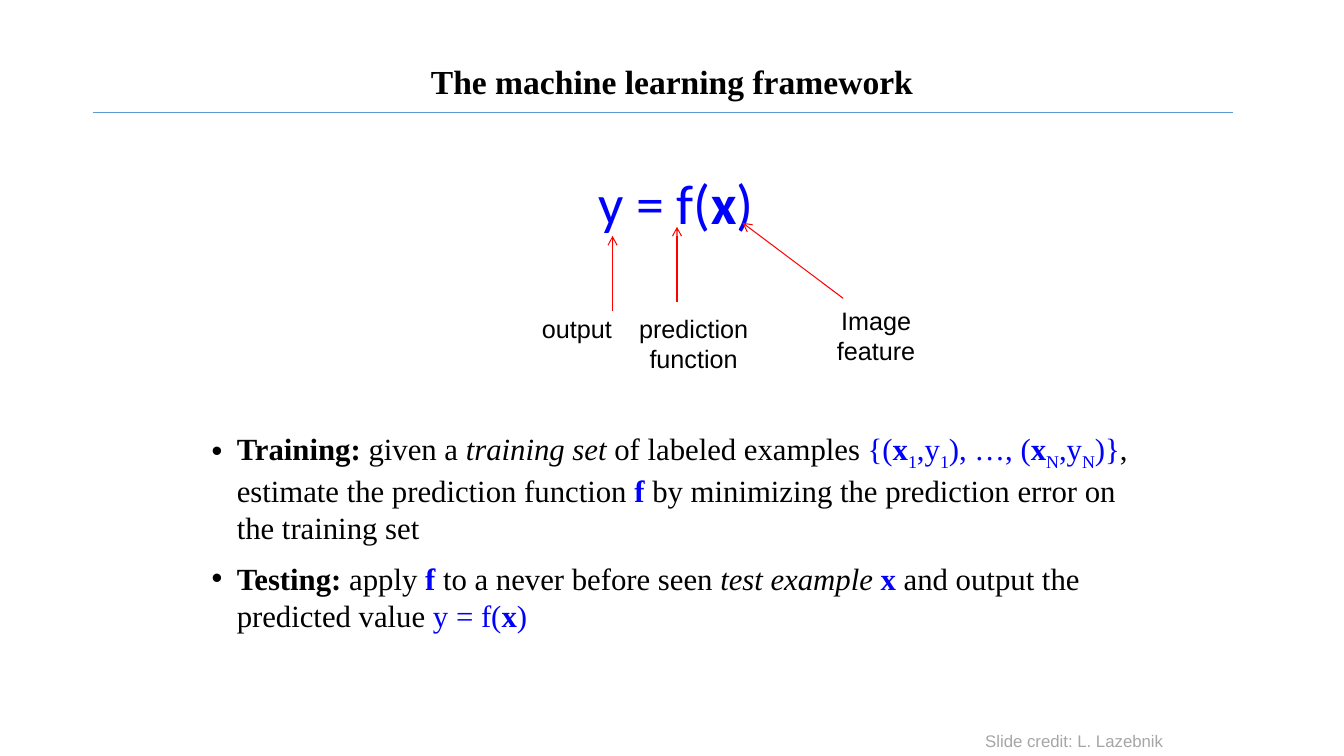
from lxml.etree import SubElement
from pptx import Presentation
from pptx.dml.color import RGBColor
from pptx.enum.shapes import MSO_CONNECTOR
from pptx.enum.text import MSO_ANCHOR, MSO_AUTO_SIZE, PP_ALIGN
from pptx.oxml.ns import qn
from pptx.util import Emu, Pt

PX = 9144  # 100 px to the inch
BLACK, BLUE, RED, GREY, RULE = "000000", "0000FF", "FF0000", "A6A6A6", "5B9BD5"
SERIF, SANS, FORMULA_FONT = "Times New Roman", "Arial", "Calibri"

# Span styles: any mix of b(old), i(talic), m(ath colour), s(ubscript)
FORMULA = [("y = f(", "m"), ("x", "mb"), (")", "m")]
TRAINING = [
    ("Training: ", "b"), ("given a ", ""), ("training set ", "i"),
    ("of labeled examples ", ""), ("{(", "m"), ("x", "mb"), ("1", "ms"),
    (",y", "m"), ("1", "ms"), ("), …, (", "m"), ("x", "mb"), ("N", "ms"),
    (",y", "m"), ("N", "ms"), (")}", "m"),
    (", estimate the prediction function ", ""), ("f ", "mb"),
    ("by minimizing the prediction error on the training set", ""),
]
TESTING = [
    ("Testing:", "b"), (" apply ", ""), ("f ", "mb"),
    ("to a never before seen ", ""), ("test example ", "i"), ("x", "mb"),
    (" and output the predicted value ", ""), *FORMULA,
]


def px(*lengths):
    return [Emu(length * PX) for length in lengths]


def color(hex_value):
    return RGBColor.from_string(hex_value)


def set_values(target, values):
    for name, value in values.items():
        setattr(target, name, value)


def place(shape, *bounds):
    set_values(shape, dict(zip(("left", "top", "width", "height"), px(*bounds))))


def add_span(para, text, font, size, ink=BLACK, style=""):
    span = para.add_run()
    span.text = text
    set_values(span.font, {"name": font, "size": Pt(size),
                           "bold": "b" in style, "italic": "i" in style})
    span.font.color.rgb = color(BLUE if "m" in style else ink)
    if "s" in style:
        span.font._element.set("baseline", "-25000")


def set_bullet(para, char=None):
    properties = para._p.get_or_add_pPr()
    indent = 25 * PX
    properties.set("marL", str(indent))
    properties.set("indent", str(-indent))
    if char:
        bullet_color = SubElement(properties, qn("a:buClr"))
        SubElement(bullet_color, qn("a:srgbClr"), val=BLACK)
        SubElement(properties, qn("a:buFont"), typeface=SANS)
        SubElement(properties, qn("a:buChar"), char=char)
    else:
        SubElement(properties, qn("a:buNone"))


def fill_title(title, text):
    place(title, 92, 40, 1150, 85)
    set_values(title.text_frame, {"vertical_anchor": MSO_ANCHOR.MIDDLE,
                                  "auto_size": MSO_AUTO_SIZE.NONE})
    para = title.text_frame.paragraphs[0]
    set_values(para, {"alignment": PP_ALIGN.CENTER, "line_spacing": 0.9})
    add_span(para, text, SERIF, 24, style="b")


def fill_body(body):
    place(body, 200, 175, 942, 495)
    frame = body.text_frame
    set_values(frame, {"vertical_anchor": MSO_ANCHOR.TOP,
                       "auto_size": MSO_AUTO_SIZE.NONE})
    # spans, font, size, bullet, alignment, line spacing, space before
    rows = [
        (FORMULA, FORMULA_FONT, 40, None, PP_ALIGN.CENTER, 0.8, 0),
        (TRAINING, SERIF, 22, "•", PP_ALIGN.LEFT, 1.0, 139),
        (TESTING, SERIF, 22, "•", PP_ALIGN.LEFT, 1.0, 10),
    ]
    for index, (spans, font, size, bullet, alignment, spacing, before) in enumerate(rows):
        para = frame.add_paragraph() if index else frame.paragraphs[0]
        set_bullet(para, bullet)
        set_values(para, {"alignment": alignment, "line_spacing": spacing,
                          "space_before": Pt(before)})
        for text, style in spans:
            add_span(para, text, font, size, style=style)


def add_label(page, text, bounds, size=18, ink=BLACK, alignment=PP_ALIGN.CENTER):
    box = page.shapes.add_textbox(*px(*bounds))
    set_values(box.text_frame, {"word_wrap": True,
                                "auto_size": MSO_AUTO_SIZE.SHAPE_TO_FIT_TEXT})
    para = box.text_frame.paragraphs[0]
    para.alignment = alignment
    add_span(para, text, SANS, size, ink)


def add_line(page, start, end, ink, arrow=False):
    line = page.shapes.add_connector(MSO_CONNECTOR.STRAIGHT, *px(*start, *end))
    line.line.width = Pt(0.75)
    line.line.color.rgb = color(ink)
    if arrow:
        SubElement(line.line._get_or_add_ln(), qn("a:tailEnd"), type="arrow")
    SubElement(line._element.spPr, qn("a:effectLst"))


def main():
    deck = Presentation()
    deck.slide_width, deck.slide_height = px(1334, 750)
    page = deck.slides.add_slide(deck.slide_layouts[1])

    # Title, formula and definitions
    fill_title(page.shapes.title, "The machine learning framework")
    fill_body(page.placeholders[1])

    # Arrows from the labels up to the parts of the formula
    for start, end in [((608, 309), (608, 234)),
                       ((672, 300), (672, 225)),
                       ((837, 296), (737, 221))]:
        add_line(page, start, end, RED, arrow=True)

    # Labels, with room for the short ones to stay on one line
    add_label(page, "output", (528, 306, 105, 40), alignment=PP_ALIGN.LEFT)
    add_label(page, "prediction function", (585, 306, 207, 70))
    add_label(page, "Image feature", (787, 298, 165, 70))

    # Credit and title rule
    add_label(page, "Slide credit: L. Lazebnik", (968, 720, 215, 30),
              size=12, ink=GREY, alignment=PP_ALIGN.LEFT)
    add_line(page, (92, 112), (1224, 112), RULE)

    deck.save("out.pptx")


if __name__ == "__main__":
    main()
